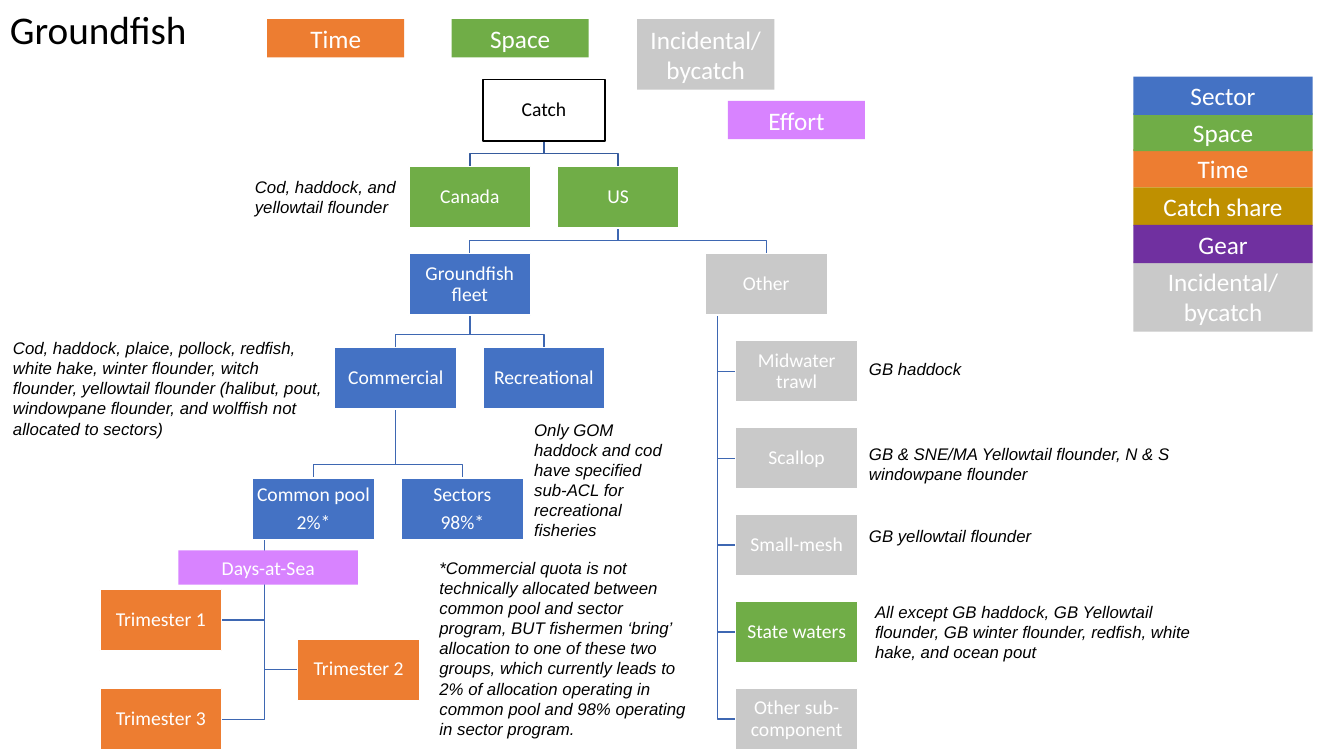
from pptx import Presentation
from pptx.dml.color import RGBColor
from pptx.enum import shapes, text
from pptx.util import Inches, Pt

BLACK = RGBColor(0x00, 0x00, 0x00)
WHITE = RGBColor(0xFF, 0xFF, 0xFF)
SECTOR = RGBColor(0x44, 0x72, 0xC4)
SPACE = RGBColor(0x70, 0xAD, 0x47)
TIME = RGBColor(0xED, 0x7D, 0x31)
CATCH_SHARE = RGBColor(0xBF, 0x90, 0x00)
GEAR = RGBColor(0x70, 0x30, 0xA0)
BYCATCH = RGBColor(0xC9, 0xC9, 0xC9)
EFFORT = RGBColor(0xD8, 0x83, 0xFF)
BRANCH = RGBColor(0x3E, 0x67, 0xB2)
TOP_BRANCH = RGBColor(0x36, 0x5B, 0x9D)

NODE_W, NODE_H = 1.21, 0.61
COLUMN = 0.735  # half the distance between sibling boxes
ROW = 6.04 / 7  # eight rows from Catch to the bottom
DROP = 0.13     # height of the last piece of a branch
SPINE = 0.12    # distance of a side spine from its parent's left edge

# label: (column, row, fill, parent, hangs from a side spine)
NODES = {
    "Catch": (0, 0, WHITE, None, False),
    "Canada": (-1, 1, SPACE, "Catch", False),
    "US": (1, 1, SPACE, "Catch", False),
    "Groundfish fleet": (-1, 2, SECTOR, "US", False),
    "Recreational": (0, 3.08, SECTOR, "Groundfish fleet", False),
    "Commercial": (-2, 3.08, SECTOR, "Groundfish fleet", False),
    "Sectors\n98%*": (-1.1, 4.58, SECTOR, "Commercial", False),
    "Common pool\n2%*": (-3.11, 4.58, SECTOR, "Commercial", False),
    "Trimester 1": (-5.17, 5.86, TIME, "Common pool\n2%*", True),
    "Trimester 2": (-2.5, 6.43, TIME, "Common pool\n2%*", True),
    "Trimester 3": (-5.17, 7, TIME, "Common pool\n2%*", True),
    "Other": (3, 2, BYCATCH, "US", False),
    "Midwater trawl": (3.41, 3, BYCATCH, "Other", True),
    "Scallop": (3.41, 4, BYCATCH, "Other", True),
    "Small-mesh": (3.41, 5, BYCATCH, "Other", True),
    "State waters": (3.41, 6, SPACE, "Other", True),
    "Other sub-component": (3.41, 7, BYCATCH, "Other", True),
}

NOTES = [
    (2.43, 1.7, 2.03, 0.51, "Cod, haddock, and yellowtail flounder"),
    (0.03, 3.3, 3.31, 1.11,
     "Cod, haddock, plaice, pollock, redfish, white hake, winter flounder, "
     "witch flounder, yellowtail flounder (halibut, pout, windowpane flounder, "
     "and wolffish not allocated to sectors)"),
    (5.2, 4.11, 1.47, 1.31,
     "Only GOM haddock and cod have specified sub-ACL for recreational fisheries"),
    (8.52, 3.51, 3.52, 0.3, "GB haddock"),
    (8.52, 4.35, 3.52, 0.5,
     "GB & SNE/MA Yellowtail flounder, N & S windowpane flounder"),
    (8.52, 5.17, 3.52, 0.3, "GB yellowtail flounder"),
    (8.58, 5.92, 3.52, 0.71,
     "All except GB haddock, GB Yellowtail flounder, GB winter flounder, "
     "redfish, white hake, and ocean pout"),
    (4.26, 5.48, 2.69, 1.92,
     "*Commercial quota is not technically allocated between common pool and "
     "sector program, BUT fishermen ‘bring’ allocation to one of these two "
     "groups, which currently leads to 2% of allocation operating in common "
     "pool and 98% operating in sector program."),
]

# (offset from the left, offset from the top, height, label, fill)
TAGS = [
    (0, 0, 0.38, "Time", TIME),
    (1.83, 0, 0.38, "Space", SPACE),
    (3.67, 0, 0.7, "Incidental/bycatch", BYCATCH),
    (4.57, 0.81, 0.38, "Effort", EFFORT),
]
LEGEND = [
    (0, 1.83, 0.7, "Incidental/\nbycatch", BYCATCH),
    (0, 0.72, 0.38, "Time", TIME),
    (0, 0.36, 0.38, "Space", SPACE),
    (0, 1.1, 0.38, "Catch share", CATCH_SHARE),
    (0, 1.47, 0.38, "Gear", GEAR),
    (0, 0, 0.38, "Sector", SECTOR),
]


def write(frame, words, size, color, align=text.PP_ALIGN.CENTER,
          font="Calibri", italic=False, **spacing):
    frame.text = words
    frame.word_wrap = True
    for paragraph in frame.paragraphs:
        paragraph.alignment = align
        for name, value in spacing.items():
            setattr(paragraph, name, value)
        style = {"name": font, "size": Pt(size), "italic": italic}
        for name, value in style.items():
            setattr(paragraph.font, name, value)
        paragraph.font.color.rgb = color


def add_box(slide, left, top, width, height, fill, outline=None):
    box = slide.shapes.add_shape(
        shapes.MSO_SHAPE.RECTANGLE,
        Inches(left), Inches(top), Inches(width), Inches(height))
    box.shadow.inherit = False
    box.fill.solid()
    box.fill.fore_color.rgb = fill
    if outline is None:
        box.line.fill.background()
    else:
        box.line.color.rgb = outline
        box.line.width = Pt(1)
    box.text_frame.vertical_anchor = text.MSO_ANCHOR.MIDDLE
    return box


def add_text(slide, left, top, width, height, words, **style):
    area = slide.shapes.add_textbox(
        Inches(left), Inches(top), Inches(width), Inches(height))
    write(area.text_frame, words, color=BLACK, align=text.PP_ALIGN.LEFT, **style)


def add_branch(slide, points, color):
    """Draw an open bent line through the points."""
    start, *rest = [(Inches(x), Inches(y)) for x, y in points]
    builder = slide.shapes.build_freeform(*start)
    builder.add_line_segments(rest, close=False)
    branch = builder.convert_to_shape()
    branch.shadow.inherit = False
    branch.fill.background()
    branch.line.color.rgb = color
    branch.line.width = Pt(1)


def branch_points(parent, child, on_spine):
    parent_x, parent_y = parent
    child_x, child_y = child
    bottom = parent_y + NODE_H
    if on_spine:
        spine, middle = parent_x + SPINE, child_y + NODE_H / 2
        side = child_x if child_x > spine else child_x + NODE_W
        return [(spine, bottom), (spine, middle), (side, middle)]
    start, end = parent_x + NODE_W / 2, child_x + NODE_W / 2
    bend = child_y - DROP
    return [(start, bottom), (start, bend), (end, bend), (end, child_y)]


def draw_tree(slide, left, top):
    """Draw the tree with the corner of its root box at left, top."""
    corners = {label: (left + COLUMN * column, top + ROW * row)
               for label, (column, row, *_) in NODES.items()}
    for label, (*_, parent, on_spine) in NODES.items():
        if parent:
            points = branch_points(corners[parent], corners[label], on_spine)
            add_branch(slide, points, TOP_BRANCH if parent == "Catch" else BRANCH)
    for label, (_, _, fill, parent, _) in NODES.items():
        ink = WHITE if parent else BLACK
        node = add_box(slide, *corners[label], NODE_W, NODE_H, fill, ink)
        for side in ("left", "top", "right", "bottom"):
            setattr(node.text_frame, f"margin_{side}", Inches(0.01))
        write(node.text_frame, label, 14, ink,
              line_spacing=0.9, space_after=Pt(4.9))


def draw_labels(slide, left, top, width, labels, size=18):
    for across, down, height, label, fill in labels:
        box = add_box(slide, left + across, top + down, width, height, fill)
        write(box.text_frame, label, size, WHITE)


def main():
    deck = Presentation()
    deck.slide_width, deck.slide_height = Inches(13.33), Inches(7.5)
    slide = deck.slides.add_slide(deck.slide_layouts[6])
    draw_tree(slide, 4.79, 0.79)
    add_text(slide, 0, 0, 1.98, 0.57, "Groundfish", size=28)
    for *place, words in NOTES:
        add_text(slide, *place, words, size=12, font="Arial", italic=True)
    draw_labels(slide, 2.65, 0.19, 1.36, TAGS)
    draw_labels(slide, 1.77, 5.46, 1.78,
                [(0, 0, 0.34, "Days-at-Sea", EFFORT)], size=14)
    draw_labels(slide, 11.24, 0.76, 1.78, LEGEND)
    deck.save("out.pptx")


if __name__ == "__main__":
    main()
